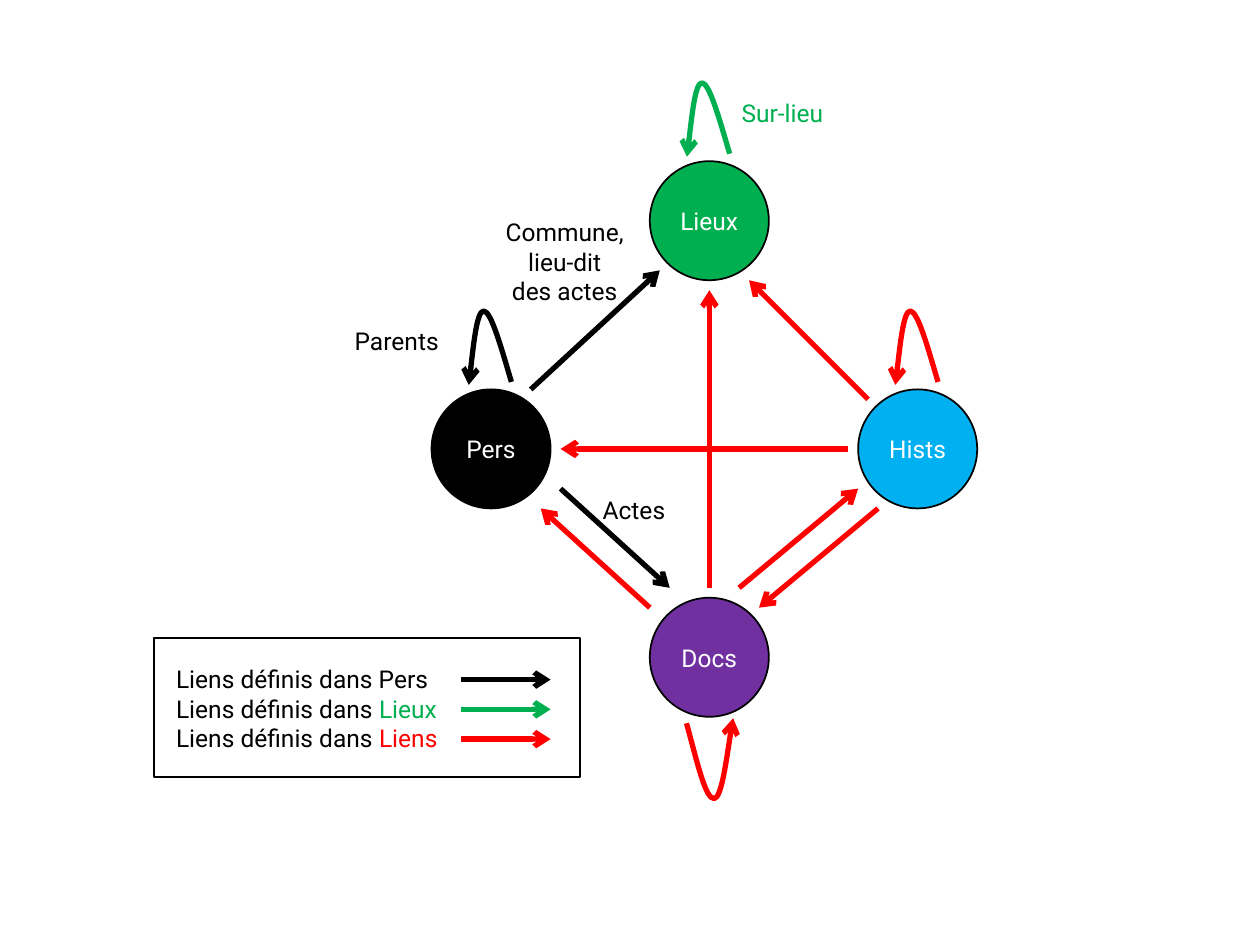
"""Draws the links between people, places, stories and documents."""
from dataclasses import dataclass
from lxml.etree import SubElement as Sub
from pptx import Presentation
from pptx.dml.color import RGBColor as Rgb
from pptx.enum.shapes import MSO_CONNECTOR as Conn, MSO_SHAPE as Form
from pptx.enum.text import MSO_ANCHOR as Anchor, MSO_AUTO_SIZE as Auto, PP_ALIGN as Align
from pptx.oxml.ns import qn
from pptx.slide import Slide
from pptx.util import Cm, Pt

HUES = {"black": "000000", "white": "FFFFFF", "green": "00B050",
        "blue": "00B0F0", "purple": "7030A0", "red": "FF0000"}


@dataclass
class Board:
    slide: Slide
    font: str = "Roboto"
    size: int = 14
    thin: int = 1
    thick: int = 3

    def hue(self, name):
        return Rgb.from_string(HUES[name])

    def edge(self, item, hue, width):
        item.line.color.rgb = self.hue(hue)
        item.line.width = Pt(width)

    def head(self, item):
        line = item._element.spPr.find(qn("a:ln"))
        Sub(line, qn("a:tailEnd"), type="arrow")

    def text(self, frame, rows, align):
        for i, row in enumerate(rows):
            para = frame.paragraphs[0] if i == 0 else frame.add_paragraph()
            para.alignment = align
            for words, hue in row:
                run = para.add_run()
                run.text = words
                look = {"name": self.font, "size": Pt(self.size)}
                for key, value in look.items():
                    setattr(run.font, key, value)
                run.font.color.rgb = self.hue(hue)

    def shape(self, form, x, y, w, h, fill=None):
        item = self.slide.shapes.add_shape(form, Cm(x), Cm(y), Cm(w), Cm(h))
        item.shadow.inherit = False
        if fill:
            item.fill.solid()
            item.fill.fore_color.rgb = self.hue(fill)
        else:
            item.fill.background()
        self.edge(item, "black", self.thin)
        return item

    def node(self, name, x, y, fill, d=2.4):
        item = self.shape(Form.OVAL, x - d / 2, y - d / 2, d, d, fill)
        frame = item.text_frame
        frame.vertical_anchor = Anchor.MIDDLE
        frame.word_wrap = False
        self.text(frame, [[(name, "white")]], Align.CENTER)

    def label(self, x, y, w, rows, align=Align.LEFT):
        box = self.slide.shapes.add_textbox(Cm(x), Cm(y), Cm(w), Cm(0.26 + 0.6 * len(rows)))
        look = {"word_wrap": False, "auto_size": Auto.SHAPE_TO_FIT_TEXT}
        for key, value in look.items():
            setattr(box.text_frame, key, value)
        self.text(box.text_frame, rows, align)

    def arrow(self, hue, x1, y1, x2, y2):
        item = self.slide.shapes.add_connector(Conn.STRAIGHT, Cm(x1), Cm(y1), Cm(x2), Cm(y2))
        self.edge(item, hue, self.thick)
        self.head(item)
        Sub(item._element.spPr, qn("a:effectLst"))

    def loop(self, hue, x, y, dots):
        spots = [(Cm(x + dx), Cm(y + dy)) for dx, dy in dots]
        pen = self.slide.shapes.build_freeform(*spots[0])
        pen.add_line_segments(spots[1:], close=False)
        item = pen.convert_to_shape()
        item.shadow.inherit = False
        item.fill.background()
        self.edge(item, hue, self.thick)
        self.head(item)
        legs = list(item._element.iter(qn("a:lnTo")))
        for i in range(0, len(legs), 3):
            curve = Sub(legs[i].getparent(), qn("a:cubicBezTo"))
            for leg in legs[i:i + 3]:
                curve.append(leg[0])
                leg.getparent().remove(leg)


deck = Presentation()
deck.slide_width, deck.slide_height = Cm(25.4), Cm(19.05)
board = Board(deck.slides.add_slide(deck.slide_layouts[6]))

NODES = {"Pers": (9.9, 9.05, "black"), "Lieux": (14.3, 4.45, "green"),
         "Hists": (18.5, 9.05, "blue"), "Docs": (14.3, 13.25, "purple")}
for name, spot in NODES.items():
    board.node(name, *spot)

ABOVE = [(0.41, -1.35), (0.2, -2.06), (0, -2.78), (-0.15, -2.78),
         (-0.29, -2.78), (-0.42, -1.53), (-0.45, -1.29)]
BELOW = [(-0.46, 1.33), (-0.25, 2.09), (-0.08, 2.87), (0.1, 2.85),
         (0.25, 2.83), (0.43, 1.48), (0.48, 1.23)]
for name, hue, dots in [("Lieux", "green", ABOVE), ("Pers", "black", ABOVE),
                        ("Hists", "red", ABOVE), ("Docs", "red", BELOW)]:
    board.loop(hue, *NODES[name][:2], dots)

LINKS = [("black", 10.7, 7.85, 13.3, 5.45), ("black", 11.3, 9.85, 13.5, 11.85),
         ("red", 14.3, 11.85, 14.3, 5.85), ("red", 17.1, 9.05, 11.3, 9.05),
         ("red", 17.7, 10.25, 15.3, 12.25), ("red", 17.5, 8.05, 15.1, 5.65),
         ("red", 13.1, 12.25, 10.9, 10.25), ("red", 14.9, 11.85, 17.3, 9.85)]
for link in LINKS:
    board.arrow(*link)

for x, y, w, words, hue in [(6.9, 6.45, 2.2, "Parents", "black"),
                            (14.7, 1.85, 2.2, "Sur-lieu", "green"),
                            (11.9, 9.86, 1.78, "Actes", "black")]:
    board.label(x, y, w, [[(words, hue)]])
acts = [[(words, "black")] for words in ("Commune,", "lieu-dit", "des actes")]
board.label(9.9, 4.26, 2.97, acts, Align.CENTER)

KEYS = [("Pers", "black", 5.66), ("Lieux", "green", 5.84), ("Liens", "red", 5.84)]
for i, (name, hue, w) in enumerate(KEYS):
    y = 13.7 + 0.6 * i
    board.arrow(hue, 9.3, y, 11.1, y)
    row = [("Liens définis dans ", "black"), (name, hue)]
    board.label(3.3, y - 0.44, w, [row])
board.shape(Form.RECTANGLE, 3.1, 12.86, 8.6, 2.8)

deck.save("out.pptx")
